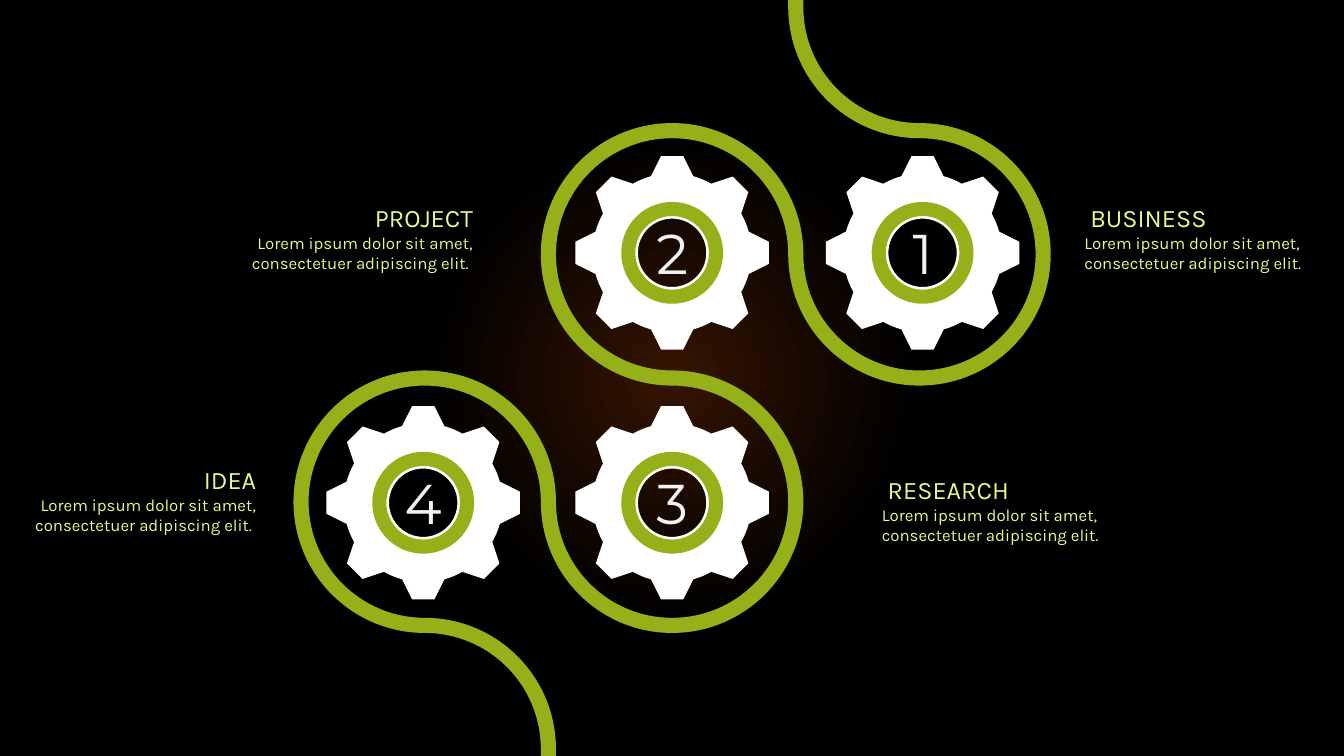
from math import ceil, cos, degrees, atan2, hypot, radians, sin, tan

from lxml import etree
from pptx import Presentation
from pptx.dml.color import RGBColor
from pptx.enum.shapes import MSO_SHAPE
from pptx.enum.text import MSO_AUTO_SIZE, PP_ALIGN
from pptx.oxml.ns import qn
from pptx.util import Pt

DONUT = MSO_SHAPE.DONUT
GROW = MSO_AUTO_SIZE.SHAPE_TO_FIT_TEXT
LEFT, CENTER, RIGHT = PP_ALIGN.LEFT, PP_ALIGN.CENTER, PP_ALIGN.RIGHT

LOREM = "Lorem ipsum dolor sit amet, consectetuer adipiscing elit."
STEPS = [
    ("1", 659, 180.6),
    ("2", 480.1, 180.6),
    ("3", 480.1, 359.1),
    ("4", 302.3, 359.1),
]
CAPTIONS = [
    ("PROJECT", LOREM + " ", RIGHT, 169.9, 141.1, 175),
    ("IDEA", LOREM + " ", RIGHT, 17.3, 328.3, 172.8),
    (" BUSINESS", LOREM, LEFT, 767.5, 141.1, 197.3),
    (" RESEARCH", LOREM, LEFT, 622.8, 335.5, 197.3),
]
COLORS = {
    "glow": "351401",
    "night": "000000",
    "track": "96B01A",
    "gear": "FFFFFF",
    "caption": "E4FC86",
    "number": "F2F2F2",
}
WIDTH, HEIGHT = 960, 540

TRACK_X, TRACK_Y, TRACK_PITCH, TRACK_WIDTH = 303.4, 5, 176.7, 10.8
TRACK_ARCS = [
    (2, 0, 180, 90),
    (2, 1, -90, 180),
    (1, 1, 0, -270),
    (1, 2, -90, 180),
    (0, 2, 0, -270),
    (0, 3, -90, 0),
]
TOOTH = [(-15.1, -54.7), (-7.9, -69.1), (7.9, -69.1), (15.1, -54.7)]
HOLE_RADIUS, RING_SIZE, RING_ADJUST = 24.4, 72.7, 0.138
NUMBER_WIDTH, NUMBER_HEIGHT = 63.4, 55.4


def rgb(name):
    return RGBColor.from_string(COLORS[name])


def arc(cx, cy, radius, start, end):
    count = ceil(abs(end - start) / 90)
    step = radians(end - start) / count
    pull = 4 / 3 * tan(step / 4)

    def on_arc(angle, bend=0):
        x = cos(angle) - bend * sin(angle)
        y = sin(angle) + bend * cos(angle)
        return cx + radius * x, cy + radius * y

    segments = [(on_arc(radians(start)),)]
    for i in range(count):
        a, b = radians(start) + i * step, radians(start) + (i + 1) * step
        segments.append((on_arc(a, pull), on_arc(b, -pull), on_arc(b)))
    return segments


def paint(shape, color):
    shape.fill.solid()
    shape.fill.fore_color.rgb = rgb(color)
    shape.line.fill.background()
    shape.shadow.inherit = False


def add_outline(slide, contours, color):
    builder = None
    for contour in contours:
        anchors = [(Pt(segment[-1][0]), Pt(segment[-1][1])) for segment in contour]
        if builder:
            builder.move_to(*anchors[0])
        else:
            builder = slide.shapes.build_freeform(*anchors[0], scale=1.0)
        builder.add_line_segments(anchors[1:], close=False)
        builder.add_line_segments([], close=True)
    shape = builder.convert_to_shape()
    paint(shape, color)
    segments = [segment for contour in contours for segment in contour[1:]]
    for line, segment in zip(list(shape.element.iter(qn("a:lnTo"))), segments):
        if len(segment) == 3:
            line.tag = qn("a:cubicBezTo")
            for index, (x, y) in enumerate(segment[:2]):
                local = {"x": str(Pt(x) - shape.left), "y": str(Pt(y) - shape.top)}
                line.insert(index, line.makeelement(qn("a:pt"), local))


def add_text(slide, box, lines, align, font_name, color):
    text_box = slide.shapes.add_textbox(*map(Pt, box))
    frame = text_box.text_frame
    frame.word_wrap = True
    frame.auto_size = GROW
    for index, (text, size) in enumerate(lines):
        paragraph = frame.add_paragraph() if index else frame.paragraphs[0]
        paragraph.text = text
        paragraph.alignment = align
        paragraph.font.name = font_name
        paragraph.font.size = Pt(size)
        paragraph.font.color.rgb = rgb(color)


def set_background(slide):
    fill = slide.background.fill
    fill.gradient()
    for stop, color, position in zip(fill.gradient_stops, ("glow", "night"), (0, 0.32)):
        stop.color.rgb = rgb(color)
        stop.position = position
    gradient = slide.element.find(".//" + qn("a:gradFill"))
    gradient.remove(gradient.find(qn("a:lin")))
    circle = etree.SubElement(gradient, qn("a:path"), path="circle")
    etree.SubElement(circle, qn("a:fillToRect"), l="50000", t="50000", r="50000", b="50000")


def track_edge(side, backward):
    edge = []
    for column, row, start, end in TRACK_ARCS[::-1] if backward else TRACK_ARCS:
        turn = 1 if end > start else -1
        radius = TRACK_PITCH / 2 + side * turn * TRACK_WIDTH / 2
        center = TRACK_X + column * TRACK_PITCH, TRACK_Y + row * TRACK_PITCH
        ends = (end, start) if backward else (start, end)
        edge += arc(*center, radius, *ends)[bool(edge):]
    first, last = (HEIGHT, 0) if backward else (0, HEIGHT)
    return [((edge[0][-1][0], first),), *edge, ((edge[-1][-1][0], last),)]


def add_gear(slide, cx, cy):
    root_x, root_y = TOOTH[-1]
    root_angle = degrees(atan2(root_y, root_x))
    valley = 45 - 2 * (root_angle + 90)
    rim = []
    for turn in range(0, 360, 45):
        c, s = cos(radians(turn)), sin(radians(turn))
        points = [((cx + x * c - y * s, cy + x * s + y * c),) for x, y in TOOTH]
        rim += points[bool(rim):]
        start = turn + root_angle
        rim += arc(cx, cy, hypot(root_x, root_y), start, start + valley)[1:]
    add_outline(slide, [rim, arc(cx, cy, HOLE_RADIUS, 360, 0)], "gear")


def main():
    deck = Presentation()
    deck.slide_width, deck.slide_height = Pt(WIDTH), Pt(HEIGHT)
    slide = deck.slides.add_slide(deck.slide_layouts[6])
    set_background(slide)
    add_outline(slide, [track_edge(1, False) + track_edge(-1, True)], "track")
    for _, cx, cy in STEPS:
        add_gear(slide, cx, cy)
    for _, cx, cy in STEPS:
        corner = Pt(cx - RING_SIZE / 2), Pt(cy - RING_SIZE / 2)
        ring = slide.shapes.add_shape(DONUT, *corner, Pt(RING_SIZE), Pt(RING_SIZE))
        ring.adjustments[0] = RING_ADJUST
        paint(ring, "track")
    for title, body, align, left, top, width in CAPTIONS:
        lines = [(title, 18), (body, 12)]
        add_text(slide, (left, top, width, 74.9), lines, align, "Karla", "caption")
    for number, cx, cy in STEPS:
        box = cx - NUMBER_WIDTH / 2, cy - NUMBER_HEIGHT / 2, NUMBER_WIDTH, NUMBER_HEIGHT
        add_text(slide, box, [(number, 40)], CENTER, "Montserrat", "number")
    deck.save("out.pptx")


if __name__ == "__main__":
    main()
